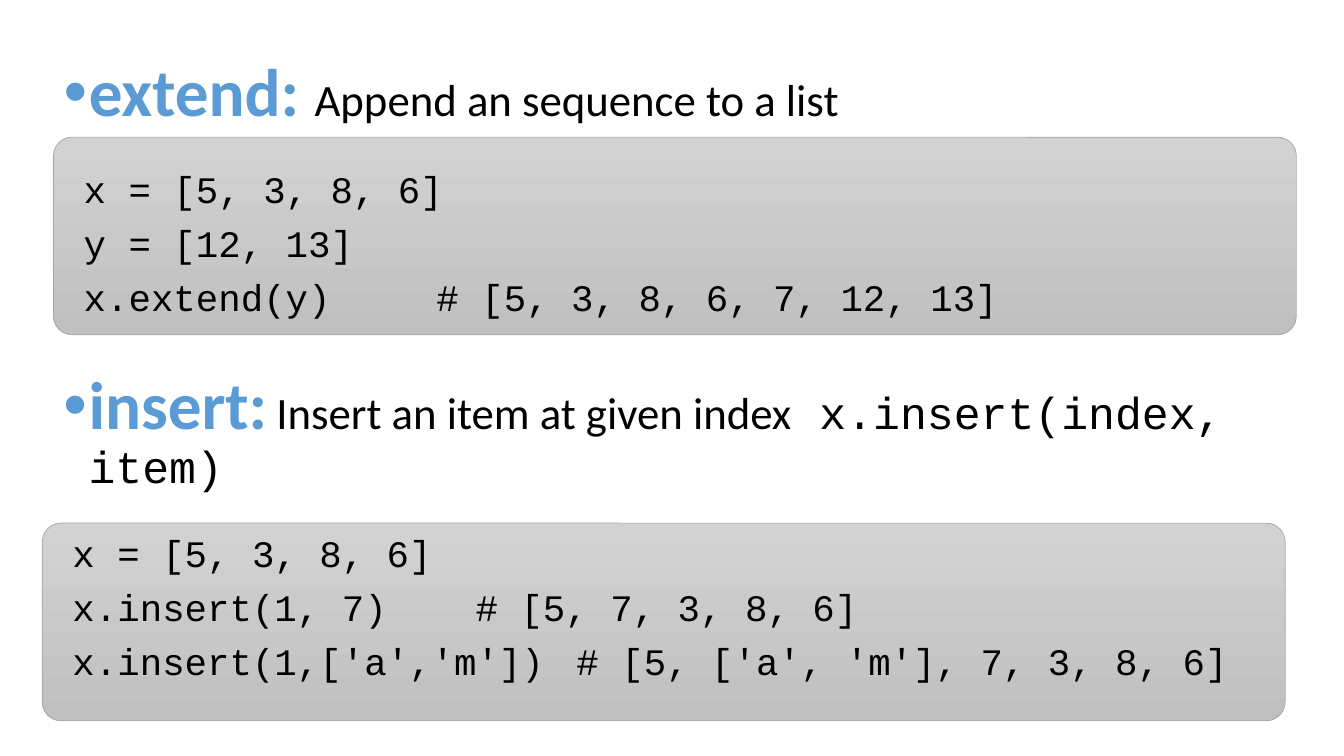
from pptx import Presentation
from pptx.dml.color import RGBColor
from pptx.enum.shapes import MSO_SHAPE
from pptx.enum.text import MSO_ANCHOR, MSO_AUTO_SIZE
from pptx.oxml.ns import qn
from pptx.util import Pt
from lxml import etree

ROUNDED = MSO_SHAPE.ROUNDED_RECTANGLE
TOP = MSO_ANCHOR.TOP
NO_AUTOFIT = MSO_AUTO_SIZE.NONE

COLORS = {
    "keyword": "5B9BD5",
    "text": "000000",
    "panel_top": "D2D2D2",
    "panel_bottom": "C0C0C0",
    "panel_edge": "A5A5A5",
}
KEYWORD = {"name": "Calibri", "size": Pt(48), "bold": True}
GAP = {"name": "Calibri", "size": Pt(28), "bold": True}
MEANING = {"name": "Calibri", "size": Pt(32), "bold": False}
SYNTAX = {"name": "Courier New", "size": Pt(32), "bold": False}
CODE = {"name": "Courier New", "size": Pt(26.7), "bold": False}

PANEL_WIDTH, PANEL_HEIGHT = 887.8, 141.1
CODE_WIDTH = 872

# Positions are left, top, width, height in points.
METHODS = [
    {
        "heading_at": (38.2, 38.2, 864, 59.8),
        "heading": [
            ("extend: ", KEYWORD, "keyword"),
            ("Append an sequence to a list", MEANING, "text"),
        ],
        "panel_at": (38.2, 98),
        "code_at": (38.2, 113.8, CODE_WIDTH, 132.5),
        "code": [
            "x = [5, 3, 8, 6]",
            "y = [12, 13]",
            "x.extend(y)\t\t\t# [5, 3, 8, 6, 7, 12, 13]",
        ],
    },
    {
        "heading_at": (38.2, 262, 864, 108),
        "heading": [
            ("insert:", KEYWORD, "keyword"),
            (" ", GAP, "keyword"),
            ("Insert an item at given index\t", MEANING, "text"),
            ("x.insert(index, item)", SYNTAX, "text"),
        ],
        "panel_at": (30.2, 373.7),
        "code_at": (30.2, 373.7, CODE_WIDTH, PANEL_HEIGHT),
        "code": [
            "x = [5, 3, 8, 6]",
            "x.insert(1, 7)\t\t# [5, 7, 3, 8, 6]",
            "x.insert(1,['a','m'])\t# [5, ['a', 'm'], 7, 3, 8, 6]",
        ],
    },
]


def add_run(paragraph, text, font_format, color):
    run = paragraph.add_run()
    run.text = text
    for attribute, value in font_format.items():
        setattr(run.font, attribute, value)
    run.font.color.rgb = RGBColor.from_string(COLORS[color])


def set_indent(paragraph, left, first_line, bullet=None):
    """Set the indents in points and the bullet, if there is one."""
    properties = paragraph._p.get_or_add_pPr()
    properties.set("marL", str(Pt(left)))
    properties.set("indent", str(Pt(first_line)))
    if bullet:
        bullet_font = etree.SubElement(properties, qn("a:buFont"))
        bullet_font.set("typeface", "Arial")
        etree.SubElement(properties, qn("a:buChar")).set("char", bullet)


presentation = Presentation()
presentation.slide_width = Pt(960)
presentation.slide_height = Pt(540)
slide = presentation.slides.add_slide(presentation.slide_layouts[1])
unused_title = slide.shapes.title._element
unused_title.getparent().remove(unused_title)

for index, method in enumerate(METHODS):
    place = [Pt(length) for length in method["heading_at"]]
    if index == 0:
        heading = slide.placeholders[1]
        heading.left, heading.top, heading.width, heading.height = place
    else:
        heading = slide.shapes.add_textbox(*place)
    frame = heading.text_frame
    frame.word_wrap = True
    frame.auto_size = NO_AUTOFIT
    frame.vertical_anchor = TOP
    line = frame.paragraphs[0]
    line.line_spacing = 0.9
    line.space_before = Pt(10)
    set_indent(line, 18, -18, "•")
    for text, font_format, color in method["heading"]:
        add_run(line, text, font_format, color)

    left, top = method["panel_at"]
    panel = slide.shapes.add_shape(
        ROUNDED, Pt(left), Pt(top), Pt(PANEL_WIDTH), Pt(PANEL_HEIGHT))
    panel.adjustments[0] = 0.095
    panel.shadow.inherit = False
    panel.fill.gradient()
    panel.fill.gradient_angle = 270
    for stop, shade in zip(panel.fill.gradient_stops, ("panel_top", "panel_bottom")):
        stop.color.rgb = RGBColor.from_string(COLORS[shade])
    panel.line.color.rgb = RGBColor.from_string(COLORS["panel_edge"])
    panel.line.width = Pt(0.5)

    code = slide.shapes.add_textbox(*[Pt(length) for length in method["code_at"]])
    frame = code.text_frame
    frame.word_wrap = True
    frame.margin_left = frame.margin_right = Pt(9.6)
    frame.margin_top = frame.margin_bottom = Pt(4.8)
    for number, statement in enumerate(method["code"]):
        line = frame.add_paragraph() if number else frame.paragraphs[0]
        line.level = 1
        line.space_before = Pt(6.5)
        set_indent(line, 12, 0)
        add_run(line, statement, CODE, "text")

presentation.save("out.pptx")
